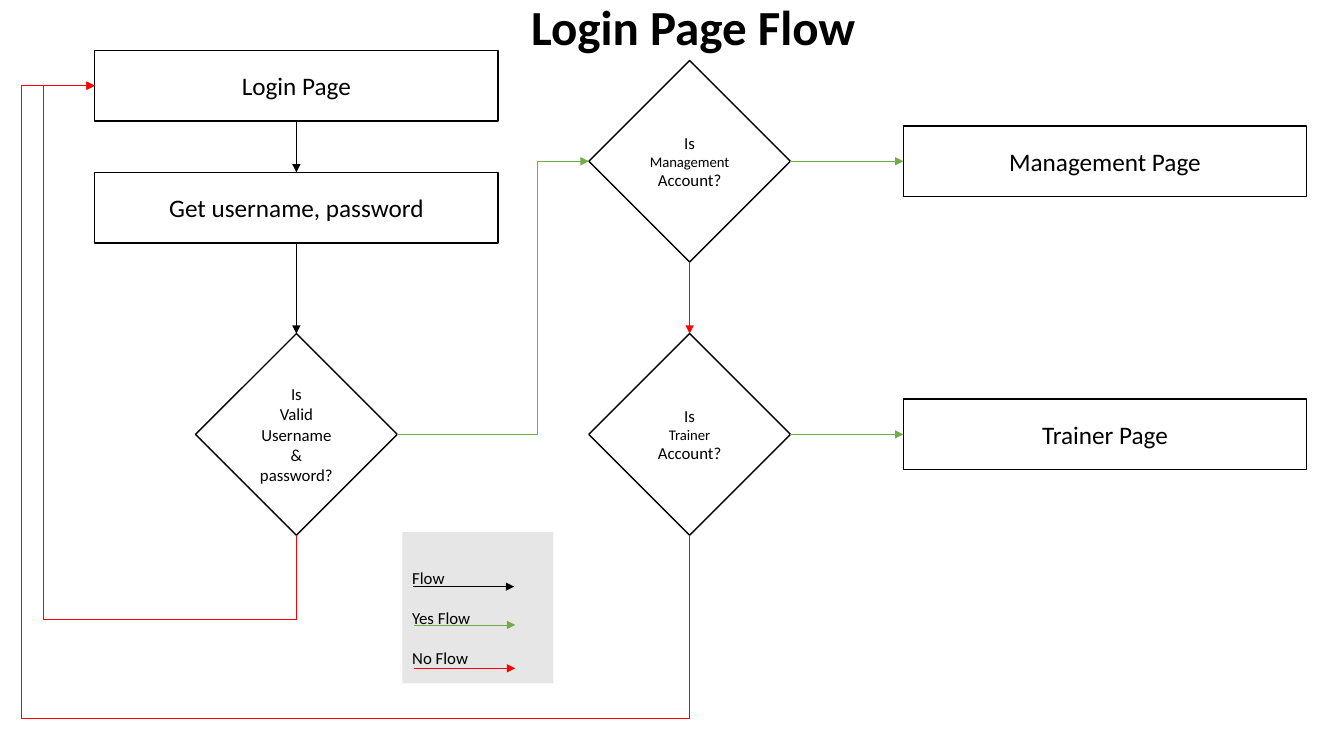
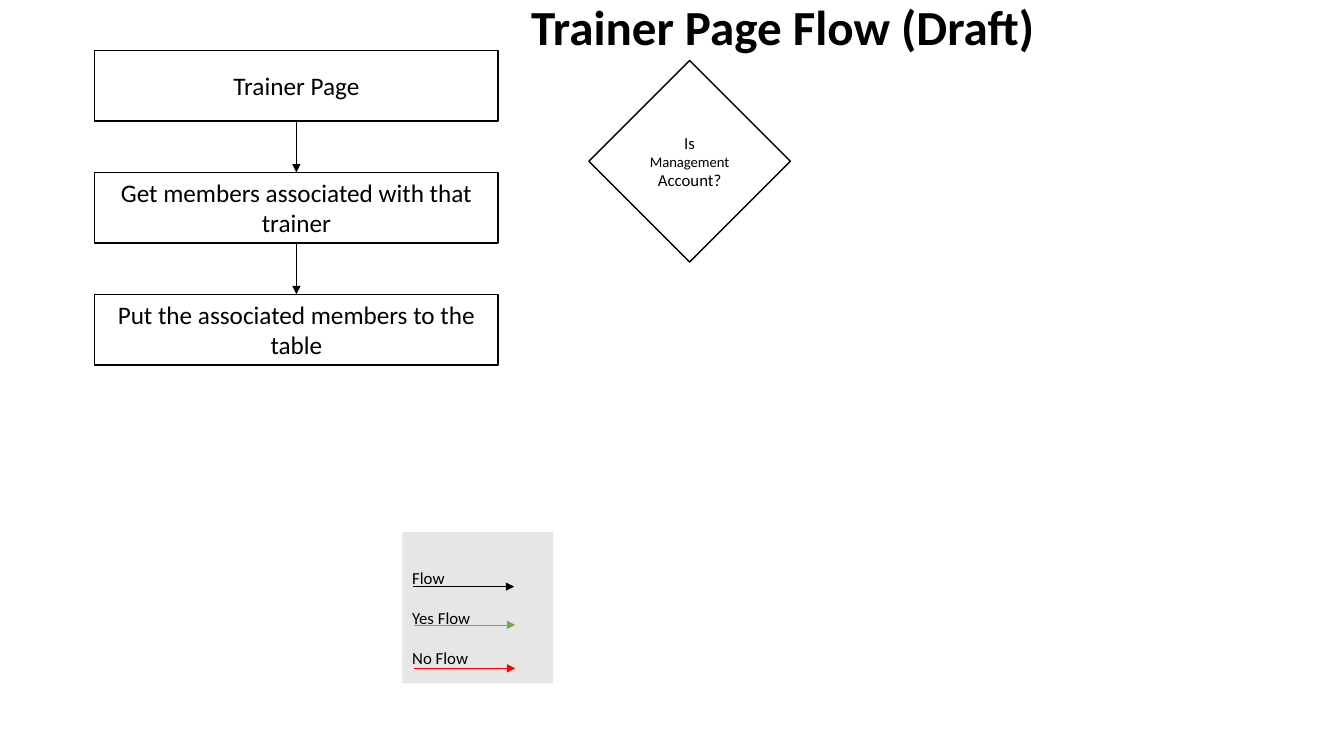
"""Build the login and trainer page flowcharts."""
from lxml import etree
from pptx import Presentation
from pptx.dml.color import RGBColor
from pptx.enum import shapes as kinds, text as txt
from pptx.oxml.ns import qn
from pptx.util import Inches, Pt

INK = RGBColor(0x00, 0x00, 0x00)
PAPER = RGBColor(0xFF, 0xFF, 0xFF)
YES = RGBColor(0x70, 0xAD, 0x47)
NO = RGBColor(0xFF, 0x00, 0x00)
PANEL = RGBColor(0xE7, 0xE6, 0xE6)
FONT = "Calibri"
TOP, LEFT, BOTTOM, RIGHT = range(4)

STEP_SIZE = (4, 0.7)
QUESTION_SIZE = (2, 2)
STEP_LEFT, PAGE_LEFT = 0.94, 8.96
FIRST_TOP, STEP_PITCH = 0.5, 1.21
QUESTION_LEFT = 5.84
UPPER_TOP, LOWER_TOP = 0.6, 3.31
LEGEND_BOX = (3.99, 5.28, 1.5, 1.5)
LEGEND = [("Flow", INK, 0.11, 0.54), ("Yes Flow", YES, 0.12, 0.92),
          ("No Flow", NO, 0.12, 1.35)]


def write(frame, lines, align, spacing=None, bold=False):
    """Fill a text frame with (wording, point size) lines."""
    for index, (wording, size) in enumerate(lines):
        paragraph = frame.paragraphs[0] if index == 0 else frame.add_paragraph()
        paragraph.alignment = align
        paragraph.line_spacing = spacing
        run = paragraph.add_run()
        run.text = wording
        look = {"name": FONT, "size": Pt(size), "bold": bold}
        for key, value in look.items():
            setattr(run.font, key, value)
        run.font.color.rgb = INK


def add_block(shapes, kind, box, fill, outlined=True):
    """Add a flat filled shape with middle-anchored text."""
    block = shapes.add_shape(kind, *map(Inches, box))
    block.shadow.inherit = False
    block.fill.solid()
    block.fill.fore_color.rgb = fill
    if outlined:
        block.line.color.rgb = INK
        block.line.width = Pt(1)
    else:
        block.line.fill.background()
    block.text_frame.word_wrap = True
    block.text_frame.vertical_anchor = txt.MSO_ANCHOR.MIDDLE
    return block


def add_step(slide, left, top, wording):
    """Add a process rectangle."""
    step = add_block(slide.shapes, kinds.MSO_SHAPE.RECTANGLE,
                     (left, top, *STEP_SIZE), PAPER)
    write(step.text_frame, [(wording, 18)], txt.PP_ALIGN.CENTER)
    return step


def add_question(slide, left, top, lines):
    """Add a decision diamond."""
    question = add_block(slide.shapes, kinds.MSO_SHAPE.DIAMOND,
                         (left, top, *QUESTION_SIZE), PAPER)
    write(question.text_frame, lines, txt.PP_ALIGN.CENTER)
    return question


def add_account_question(slide, top, role):
    """Add the diamond that asks for one kind of account."""
    return add_question(slide, QUESTION_LEFT, top,
                        [("Is", 12), (role, 10.5), ("Account?", 12)])


def add_arrow(shapes, color, ends=(0, 0, 0, 0),
              route=kinds.MSO_CONNECTOR.STRAIGHT):
    """Add a thin flat connector with an arrowhead at its end."""
    arrow = shapes.add_connector(route, *map(Inches, ends))
    arrow.line.color.rgb = color
    arrow.line.width = Pt(0.5)
    etree.SubElement(arrow.line._get_or_add_ln(), qn("a:tailEnd"), type="triangle")
    etree.SubElement(arrow._element.spPr, qn("a:effectLst"))
    return arrow


def link(slide, source, source_side, target, target_side, color,
         route=kinds.MSO_CONNECTOR.STRAIGHT):
    """Glue an arrow from one block to another."""
    arrow = add_arrow(slide.shapes, color, route=route)
    arrow.begin_connect(source, source_side)
    arrow.end_connect(target, target_side)
    return arrow


def bend(arrow, preset, *ratios):
    """Set the preset and the bend ratios of an elbow connector."""
    geometry = arrow._element.spPr.find(qn("a:prstGeom"))
    geometry.set("prst", preset)
    guides = geometry.find(qn("a:avLst"))
    for number, ratio in enumerate(ratios, 1):
        etree.SubElement(guides, qn("a:gd"), name=f"adj{number}",
                         fmla=f"val {round(ratio * 100000)}")


def link_back(slide, source, target, drop, outset):
    """Lead a No arrow below its source, then up the left side to its target."""
    arrow = link(slide, source, BOTTOM, target, LEFT, NO,
                 kinds.MSO_CONNECTOR.ELBOW)
    run, rise = arrow.width, arrow.height
    shift = (run - rise) // 2
    turned = {"left": arrow.left + shift, "top": arrow.top - shift,
              "width": rise, "height": run}
    for key, value in turned.items():
        setattr(arrow, key, value)
    frame = arrow._element.spPr.find(qn("a:xfrm"))
    for key, value in {"rot": "5400000", "flipH": "1", "flipV": "0"}.items():
        frame.set(key, value)
    bend(arrow, "bentConnector4", -Inches(drop) / rise, 1 + Inches(outset) / run)


def add_legend(slide, box):
    """Add the grouped key to the arrow colours."""
    left, top = box[:2]
    shapes = slide.shapes.add_group_shape().shapes
    panel = add_block(shapes, kinds.MSO_SHAPE.RECTANGLE, box, PANEL, False)
    write(panel.text_frame, [(entry[0], 12) for entry in LEGEND],
          txt.PP_ALIGN.LEFT, spacing=2.0)
    for _, color, inset, drop in LEGEND:
        start, level = left + inset, top + drop
        add_arrow(shapes, color, (start, level, start + 1, level))


def add_title(slide, wording, width):
    """Add the bold slide title."""
    title = slide.shapes.add_textbox(
        *map(Inches, (5.17, -0.08, width, 0.69)))
    title.text_frame.word_wrap = False
    title.text_frame.auto_size = txt.MSO_AUTO_SIZE.SHAPE_TO_FIT_TEXT
    write(title.text_frame, [(wording, 35)], txt.PP_ALIGN.LEFT, bold=True)


def add_steps(slide, wordings):
    """Stack process rectangles and join each to the next."""
    steps = [add_step(slide, STEP_LEFT, FIRST_TOP + row * STEP_PITCH, wording)
             for row, wording in enumerate(wordings)]
    for upper, lower in zip(steps, steps[1:]):
        link(slide, upper, BOTTOM, lower, TOP, INK)
    return steps


def start_slide(deck, title, title_width):
    """Add a slide with its title and legend."""
    slide = deck.slides.add_slide(deck.slide_layouts[6])
    add_legend(slide, LEGEND_BOX)
    add_title(slide, title, title_width)
    return slide


def build_login(deck):
    """Build the login flow."""
    slide = start_slide(deck, "Login Page Flow", 3.46)
    login, credentials = add_steps(slide, ["Login Page", "Get username, password"])
    valid = add_question(slide, STEP_LEFT + 1, LOWER_TOP,
                         [("Is", 12), ("Valid", 12), ("Username & password?", 12)])
    link(slide, credentials, BOTTOM, valid, TOP, INK)
    accounts = []
    for role, top in (("Management", UPPER_TOP), ("Trainer", LOWER_TOP)):
        account = add_account_question(slide, top, role)
        page = add_step(slide, PAGE_LEFT, top + 0.65, f"{role} Page")
        link(slide, account, RIGHT, page, LEFT, YES)
        accounts.append(account)
    management, trainer = accounts
    link(slide, management, BOTTOM, trainer, TOP, NO)
    accepted = link(slide, valid, RIGHT, management, LEFT, YES,
                    kinds.MSO_CONNECTOR.ELBOW)
    bend(accepted, "bentConnector3", 0.73)
    link_back(slide, valid, login, 0.84, 0.51)
    link_back(slide, trainer, login, 1.82, 0.73)


def build_trainer(deck):
    """Build the draft trainer flow."""
    slide = start_slide(deck, "Trainer Page Flow (Draft)", 5.26)
    add_steps(slide, ["Trainer Page", "Get members associated with that trainer",
                      "Put the associated members to the table"])
    add_account_question(slide, UPPER_TOP, "Management")


def main():
    """Build and save the deck."""
    deck = Presentation()
    deck.slide_width, deck.slide_height = Inches(13.33), Inches(7.5)
    build_login(deck)
    build_trainer(deck)
    deck.save("out.pptx")


main()
